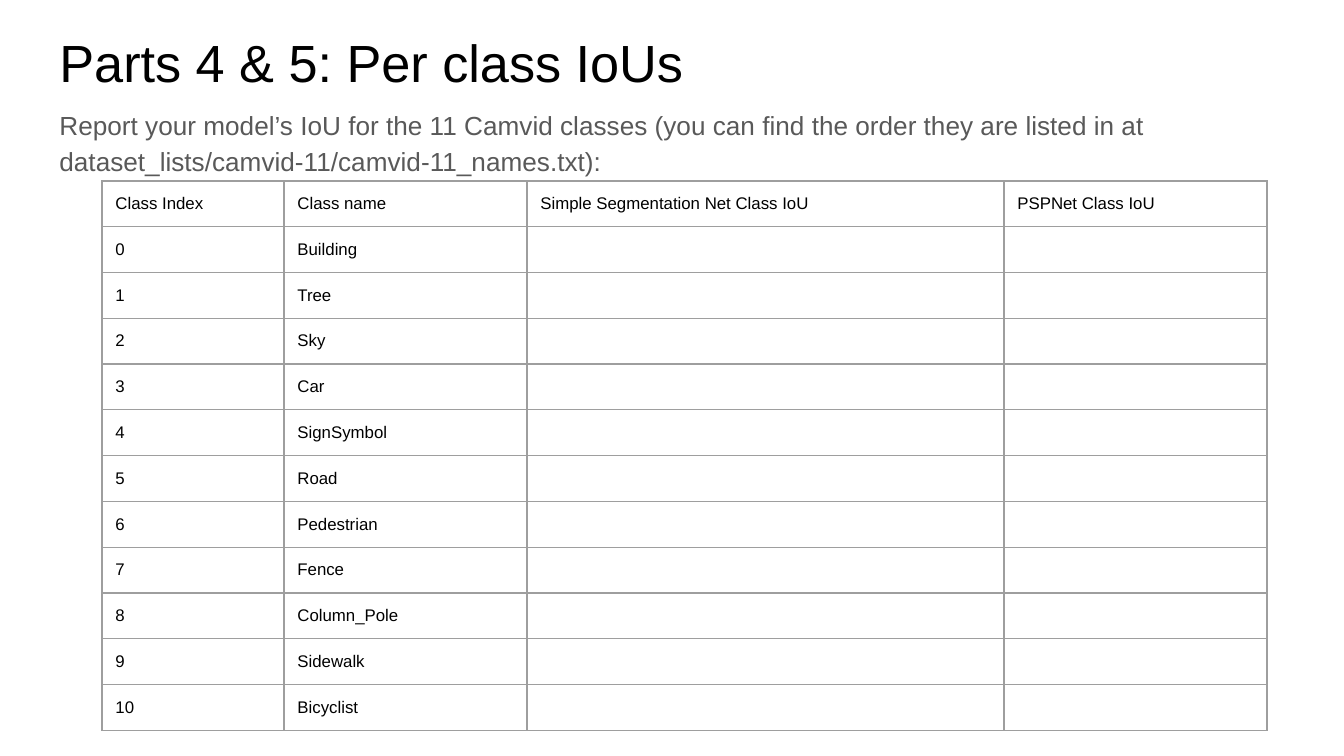
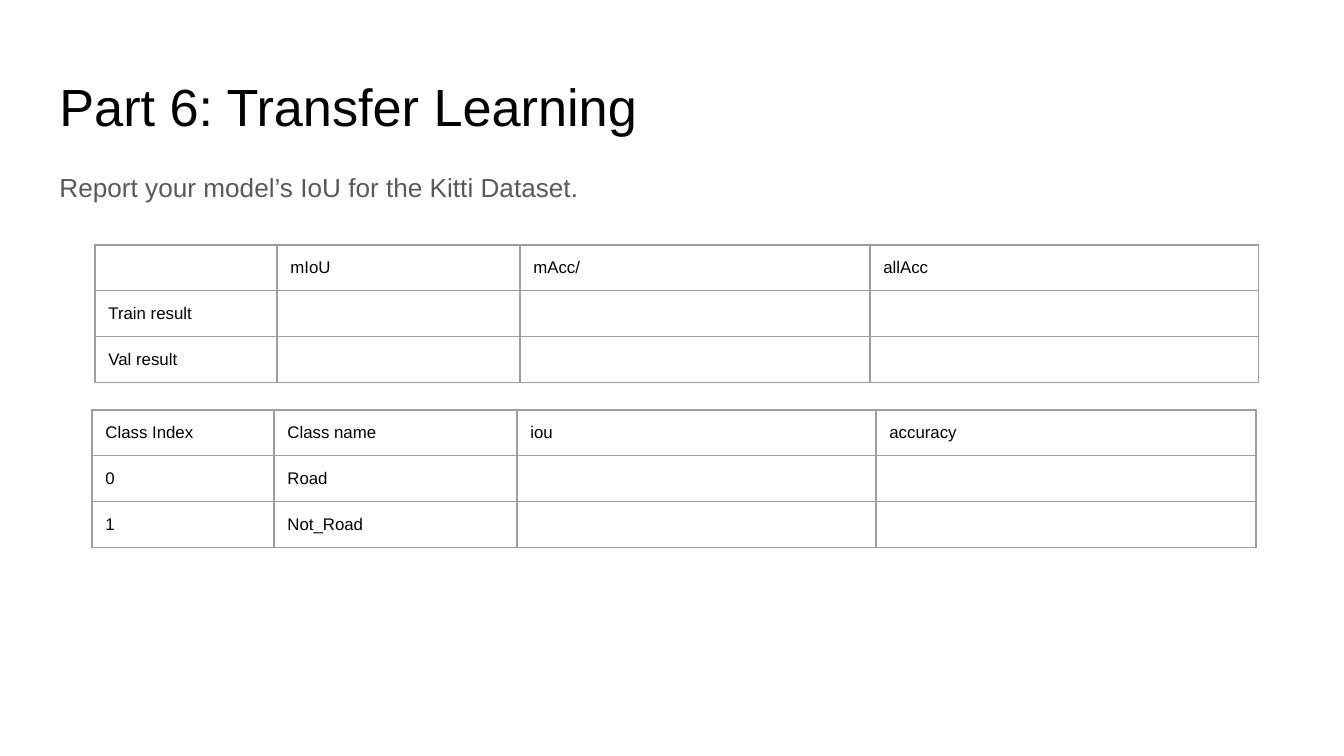
"""Build two slides with blank score tables for a segmentation report."""
from dataclasses import dataclass

from lxml import etree
from pptx import Presentation
from pptx import util as u
from pptx.dml.color import RGBColor
from pptx.enum import text as t
from pptx.oxml.ns import qn

SCALE = 914400 / 134.4
FONT = "Arial"
INSET = 13.44
ROW = 40
INK = {"title": "000000", "body": "595959", "cell": "000000", "rule": "9E9E9E"}
SIZE = {"title": 28, "body": 14, "cell": 9}
NAMES = ("Building", "Tree", "Sky", "Car", "SignSymbol", "Road", "Pedestrian",
         "Fence", "Column_Pole", "Sidewalk", "Bicyclist")


@dataclass(frozen=True)
class Grid:
    left: int
    top: int
    cols: tuple[int, ...]
    rows: list[tuple[str, ...]]


@dataclass(frozen=True)
class Page:
    title: str
    head: int
    body: str
    lead: int
    grids: tuple[Grid, ...]


def px(n: float) -> int:
    return u.Emu(round(n * SCALE))


def style(par, role: str) -> None:
    for run in par.runs:
        run.font.name = FONT
        run.font.size = u.Pt(SIZE[role])
        run.font.color.rgb = RGBColor.from_string(INK[role])


def pad(item) -> None:
    item.margin_left = item.margin_right = px(INSET)
    item.margin_top = item.margin_bottom = px(INSET)


def fill_text(shape, words: str, role: str, top: int, high: int) -> None:
    shape.left, shape.top = px(46), px(top)
    shape.width, shape.height = px(1252), px(high)
    frame = shape.text_frame
    frame.text = words
    frame.word_wrap = True
    frame.auto_size = t.MSO_AUTO_SIZE.NONE
    frame.vertical_anchor = t.MSO_ANCHOR.TOP
    pad(frame)
    par = frame.paragraphs[0]
    par.alignment = t.PP_ALIGN.LEFT
    par.space_before = u.Pt(0)
    par.line_spacing = 1.15 if role == "body" else 1.0
    if role == "body":
        prop = par._p.get_or_add_pPr()
        prop.set("marL", "0")
        prop.set("indent", "0")
        etree.SubElement(prop, qn("a:buNone"))
    style(par, role)


def rule(cell) -> None:
    prop = cell._tc.get_or_add_tcPr()
    for side in ("lnL", "lnR", "lnT", "lnB"):
        line = etree.SubElement(prop, qn(f"a:{side}"), w=str(u.Pt(0.75)))
        fill = etree.SubElement(line, qn("a:solidFill"))
        etree.SubElement(fill, qn("a:srgbClr"), val=INK["rule"])


def fill_cell(cell, words: str) -> None:
    pad(cell)
    rule(cell)
    cell.fill.background()
    par = cell.text_frame.paragraphs[0]
    if words:
        par.text = words
        style(par, "cell")
    else:
        end = etree.SubElement(par._p, qn("a:endParaRPr"), sz=str(SIZE["cell"] * 100))
        etree.SubElement(end, qn("a:latin"), typeface=FONT)


def draw_grid(slide, grid: Grid) -> None:
    table = slide.shapes.add_table(
        len(grid.rows), len(grid.cols), px(grid.left), px(grid.top),
        px(sum(grid.cols)), px(ROW * len(grid.rows))).table
    table.first_row = table.horz_banding = False
    for col, wide in zip(table.columns, grid.cols):
        col.width = px(wide)
    for row, words in zip(table.rows, grid.rows):
        row.height = px(ROW)
        for i, cell in enumerate(row.cells):
            fill_cell(cell, words[i] if i < len(words) else "")


def draw_page(deck, page: Page) -> None:
    slide = deck.slides.add_slide(deck.slide_layouts[1])
    fill_text(slide.shapes.title, page.title, "title", page.head, 85)
    fill_text(slide.placeholders[1], page.body, "body", page.lead, 97)
    for grid in page.grids:
        draw_grid(slide, grid)


def list_rows(names: tuple[str, ...], *heads: str) -> list[tuple[str, ...]]:
    rows = [(str(i), name) for i, name in enumerate(names)]
    return [("Class Index", "Class name", *heads), *rows]


PAGES = (
    Page("Parts 4 & 5: Per class IoUs", 17,
         "Report your model’s IoU for the 11 Camvid classes (you can find the order "
         "they are listed in at dataset_lists/camvid-11/camvid-11_names.txt):", 91,
         (Grid(102, 181, (182, 243, 477, 263), list_rows(
             NAMES, "Simple Segmentation Net Class IoU", "PSPNet Class IoU")),)),
    Page("Part 6: Transfer Learning", 61,
         "Report your model’s IoU for the Kitti Dataset.", 153,
         (Grid(92, 410, (182, 243, 359, 380),
               list_rows(("Road", "Not_Road"), "iou", "accuracy")),
          Grid(95, 245, (182, 243, 350, 389),
               [("", "mIoU", "mAcc/", "allAcc"), ("Train result",), ("Val result",)]))),
)


def main() -> None:
    deck = Presentation()
    deck.slide_width, deck.slide_height = px(1344), px(756)
    for page in PAGES:
        draw_page(deck, page)
    deck.save("out.pptx")


main()
